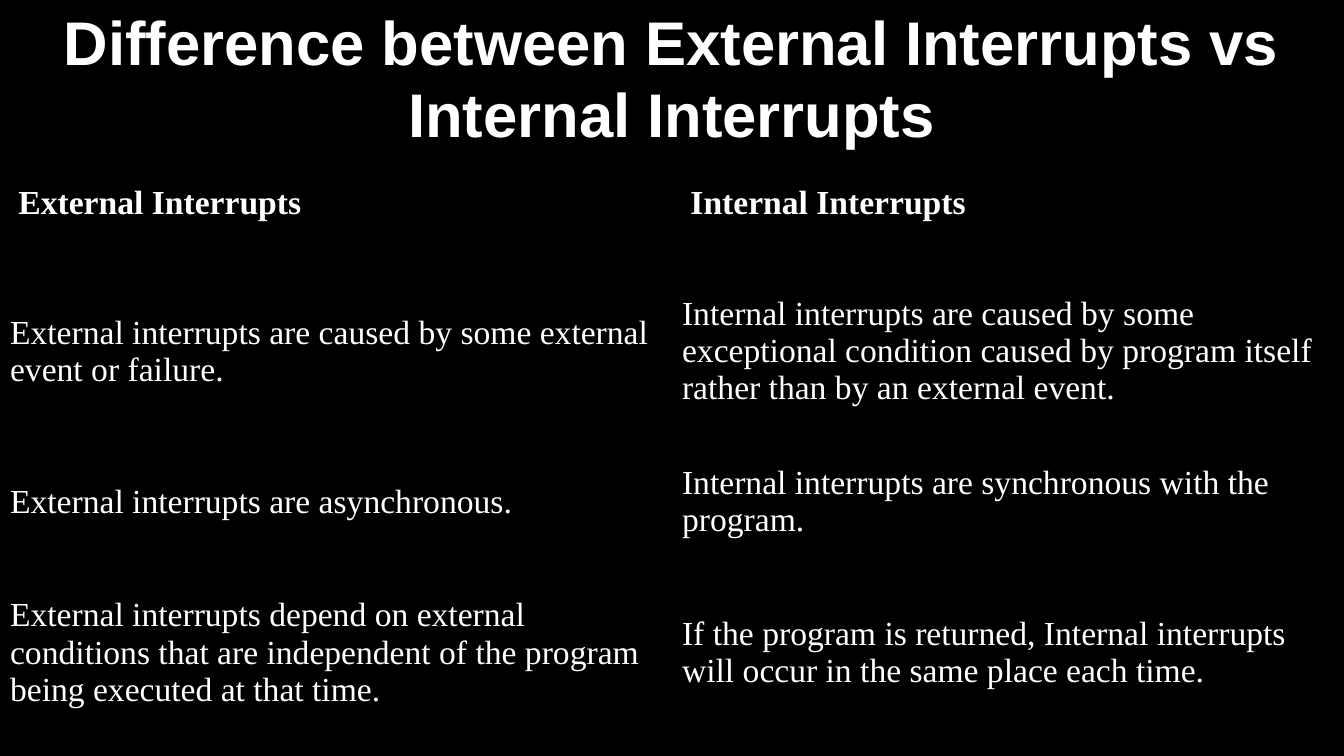
"""Build a slide that compares external and internal interrupts."""
from lxml import etree
from pptx import Presentation
from pptx import util as u
from pptx.dml.color import RGBColor
from pptx.enum import text
from pptx.oxml import ns

TITLE = "Difference between External Interrupts vs Internal Interrupts"
ROWS = [
    (" External Interrupts", " Internal Interrupts"),
    ("External interrupts are caused by some external event or failure.",
     "Internal interrupts are caused by some exceptional condition caused by "
     "program itself rather than by an external event."),
    ("External interrupts are asynchronous.",
     "Internal interrupts are synchronous with the program."),
    ("External interrupts depend on external conditions that are independent "
     "of the program being executed at that time.",
     "If the program is returned, Internal interrupts will occur in the same "
     "place each time."),
]
COLORS = {"back": "000000", "text": "FFFFFF"}
SLIDE_W, SLIDE_H = 13.33, 7.5
TITLE_TOP, TITLE_H = 0.05, 1.96
TABLE_TOP = 1.6
ROW_HEIGHTS = [0.84, 2.09] * 2


def write(tf, words, font="Times New Roman", size=24, bold=False,
          align=text.PP_ALIGN.LEFT, spacing=1.0):
    p = tf.paragraphs[0]
    p.alignment, p.line_spacing = align, spacing
    r = p.add_run()
    r.text = words
    r.font.name, r.font.size, r.font.bold = font, u.Pt(size), bold
    r.font.color.rgb = RGBColor.from_string(COLORS["text"])


def clear_cell(cell):
    tc_pr = cell._tc.get_or_add_tcPr()
    for side in ("L", "R", "T", "B"):
        ln = etree.SubElement(tc_pr, ns.qn(f"a:ln{side}"))
        etree.SubElement(ln, ns.qn("a:noFill"))
    cell.fill.background()


def add_title(s):
    sp = s.shapes.add_textbox(0, u.Inches(TITLE_TOP), u.Inches(SLIDE_W), u.Inches(TITLE_H))
    tf = sp.text_frame
    tf.word_wrap = True
    tf.vertical_anchor = text.MSO_ANCHOR.TOP
    tf.margin_top = u.Inches(0.03)
    write(tf, TITLE, font="Arial", size=44, bold=True,
          align=text.PP_ALIGN.CENTER, spacing=0.97)


def add_comparison(s):
    cols = len(ROWS[0])
    table = s.shapes.add_table(len(ROWS), cols, 0, u.Inches(TABLE_TOP),
                               u.Inches(SLIDE_W), u.Inches(sum(ROW_HEIGHTS))).table
    table.first_row = table.horz_banding = False
    for col in table.columns:
        col.width = u.Inches(SLIDE_W / cols)
    for i, (height, entries) in enumerate(zip(ROW_HEIGHTS, ROWS)):
        table.rows[i].height = u.Inches(height)
        for j, words in enumerate(entries):
            cell = table.cell(i, j)
            clear_cell(cell)
            cell.vertical_anchor = text.MSO_ANCHOR.MIDDLE
            write(cell.text_frame, words, bold=i == 0)


def main():
    prs = Presentation()
    prs.slide_width, prs.slide_height = u.Inches(SLIDE_W), u.Inches(SLIDE_H)
    s = prs.slides.add_slide(prs.slide_layouts[6])
    s.background.fill.solid()
    s.background.fill.fore_color.rgb = RGBColor.from_string(COLORS["back"])
    add_title(s)
    add_comparison(s)
    prs.save("out.pptx")


if __name__ == "__main__":
    main()
